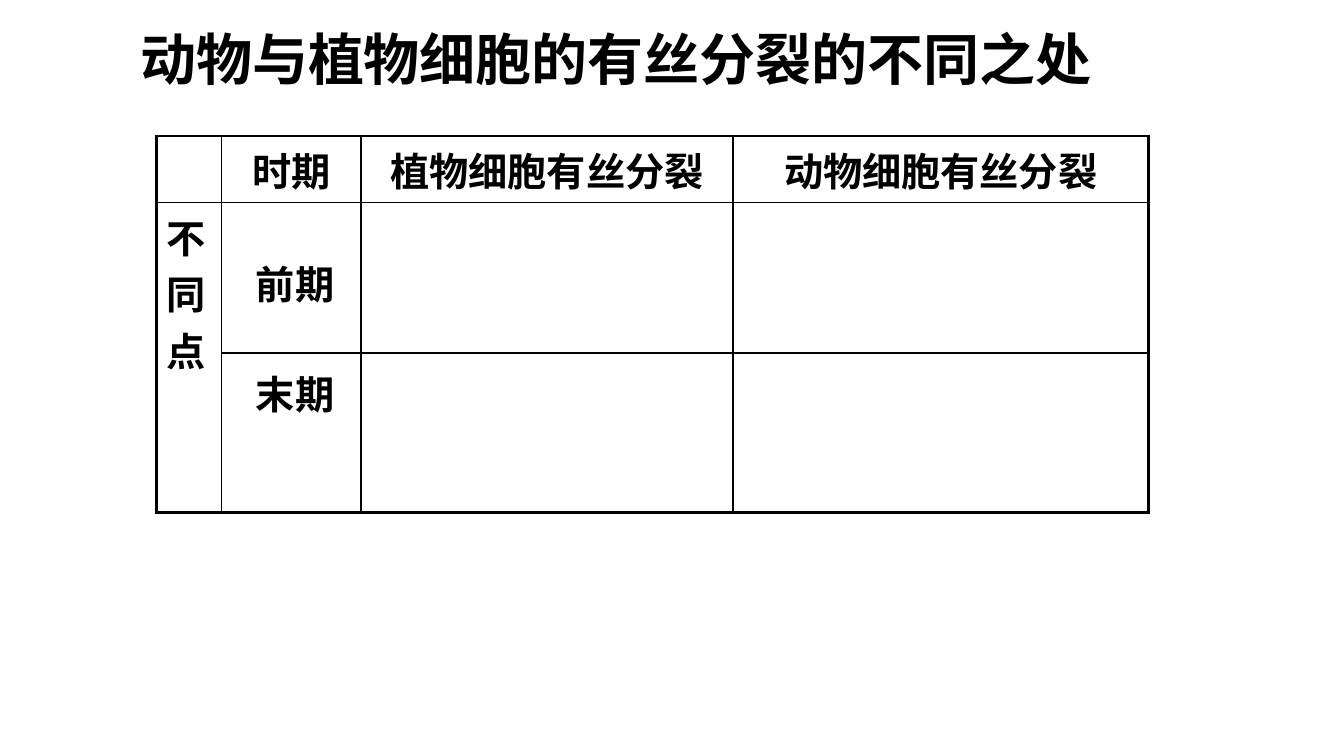
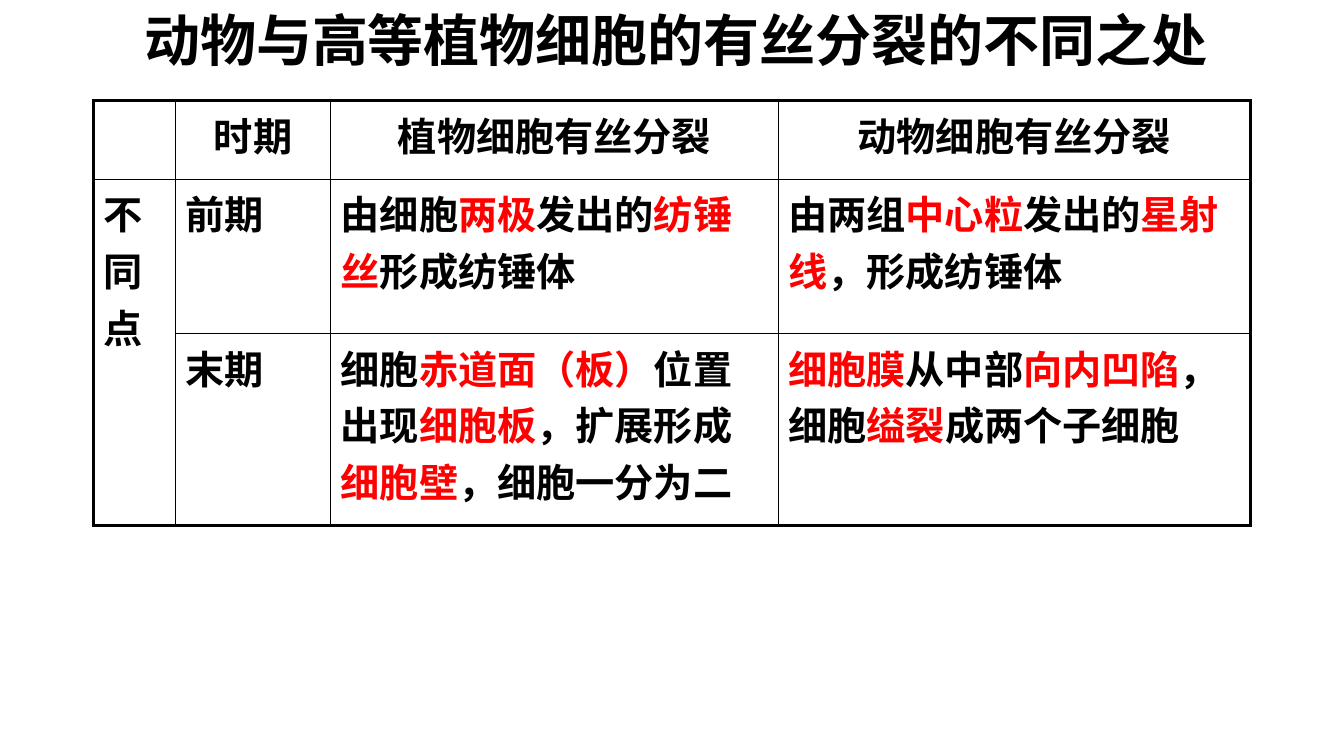
from dataclasses import dataclass, field

from lxml.etree import SubElement
from pptx import Presentation
from pptx.dml.color import RGBColor
from pptx.enum.text import MSO_ANCHOR, MSO_AUTO_SIZE, PP_ALIGN
from pptx.oxml import parse_xml
from pptx.oxml.ns import nsdecls, qn
from pptx.util import Emu, Pt

# Shared look
SCALE = 9144  # EMU per px, 100 px to the inch
HUES = {"ink": "000000", "key": "FF0000", "fill": "FFFFFF"}
HEAVY, THIN = 2.25, 1
CJK = "Noto Sans CJK SC"
HEAD = {"size": Pt(40), "name": CJK, "bold": True}
BODY = {"size": Pt(28), "name": "Arial", "bold": True}
FRAME = {"vertical_anchor": MSO_ANCHOR.TOP, "word_wrap": True,
         "auto_size": MSO_AUTO_SIZE.NONE}
LABEL = {"word_wrap": False, "auto_size": MSO_AUTO_SIZE.SHAPE_TO_FIT_TEXT}
TOP_ROW = ["", "时期", "植物细胞有丝分裂", "动物细胞有丝分裂"]
SIDE = "不同点"


@dataclass
class Label:
    text: str
    box: tuple[int, int, int, int]


@dataclass
class Page:
    title: str
    spot: tuple[int, int]
    grid: tuple[int, int]
    cols: list[int]
    rows: list[int]
    cells: list[list[str]]  # text between asterisks is key text
    labels: list[Label] = field(default_factory=list)


PAGES = [
    Page("动物与植物细胞的有丝分裂的不同之处", (129, 19), (155, 135),
         [65, 138, 369, 412], [61, 149, 158],
         [["", "", ""], ["", "", ""]],
         [Label("前期", (244, 253, 98, 57)),
          Label("末期", (244, 362, 98, 57))]),
    Page("动物与高等植物细胞的有丝分裂的不同之处", (133, 0), (93, 100),
         [81, 154, 444, 468], [78, 153, 190],
         [["前期",
           "由细胞*两极*发出的*纺锤丝*形成纺锤体",
           "由两组*中心粒*发出的*星射线*，形成纺锤体"],
          ["末期",
           "细胞*赤道面（板）*位置出现*细胞板*，扩展形成*细胞壁*，细胞一分为二",
           "*细胞膜*从中部*向内凹陷*，细胞*缢裂*成两个子细胞"]]),
]


def px(*nums: int) -> list[Emu]:
    return [Emu(num * SCALE) for num in nums]


def apply(obj, props: dict) -> None:
    for key, val in props.items():
        setattr(obj, key, val)


def write(para, text: str, look: dict) -> None:
    """Add runs, with every second part in the key colour."""
    for num, part in enumerate(text.split("*")):
        if not part:
            continue
        run = para.add_run()
        run.text = part
        apply(run.font, look)
        run.font.color.rgb = RGBColor.from_string(HUES["key" if num % 2 else "ink"])
        east = SubElement(run.font._element, qn("a:ea"))
        east.set("typeface", CJK)


def space(para) -> None:
    """Set the space before to a fifth of a line."""
    para._p.get_or_add_pPr().insert(0, parse_xml(
        f'<a:spcBef {nsdecls("a")}><a:spcPct val="20000"/></a:spcBef>'))


def edge(side: str, width: float):
    return parse_xml(
        f'<a:ln{side} {nsdecls("a")} w="{Pt(width)}"><a:solidFill>'
        f'<a:srgbClr val="{HUES["ink"]}"/></a:solidFill></a:ln{side}>')


def style(cell, outer: dict[str, bool]) -> None:
    """Give a cell its half-clear fill and its four borders."""
    cell.fill.solid()
    cell.fill.fore_color.rgb = RGBColor.from_string(HUES["fill"])
    props = cell._tc.get_or_add_tcPr()
    tint = props.find(".//" + qn("a:srgbClr"))
    SubElement(tint, qn("a:alpha")).set("val", "50000")
    for num, (side, rim) in enumerate(outer.items()):
        props.insert(num, edge(side, HEAVY if rim else THIN))


def draw_title(slide, page: Page) -> None:
    title = slide.shapes.title
    size = px(*page.spot, 1142, 77)
    apply(title, dict(zip(("left", "top", "width", "height"), size)))
    apply(title.text_frame, FRAME)
    para = title.text_frame.paragraphs[0]
    para.alignment = PP_ALIGN.LEFT
    write(para, page.title, HEAD)


def draw_grid(slide, page: Page) -> None:
    high, wide = len(page.rows), len(page.cols)
    size = px(*page.grid, sum(page.cols), sum(page.rows))
    table = slide.shapes.add_table(high, wide, *size).table
    apply(table, {"first_row": False, "horz_banding": False})
    for col, width in zip(table.columns, px(*page.cols)):
        col.width = width
    for row, height in zip(table.rows, px(*page.rows)):
        row.height = height
    table.cell(1, 0).merge(table.cell(high - 1, 0))

    texts = [TOP_ROW] + [[SIDE if num == 0 else "", *line]
                         for num, line in enumerate(page.cells)]
    for r, line in enumerate(texts):
        for c, text in enumerate(line):
            cell = table.cell(r, c)
            last = r + (cell.span_height if cell.is_merge_origin else 1)
            style(cell, {"L": c == 0, "R": c == wide - 1,
                         "T": r == 0, "B": last == high})
            if text:
                para = cell.text_frame.paragraphs[0]
                para.alignment = PP_ALIGN.LEFT if r else PP_ALIGN.CENTER
                space(para)
                write(para, text, BODY)


def draw_label(slide, label: Label) -> None:
    frame = slide.shapes.add_textbox(*px(*label.box)).text_frame
    apply(frame, LABEL)
    write(frame.paragraphs[0], label.text, BODY)


def main() -> None:
    deck = Presentation()
    deck.slide_width, deck.slide_height = px(1333, 750)
    for page in PAGES:
        slide = deck.slides.add_slide(deck.slide_layouts[5])
        draw_title(slide, page)
        draw_grid(slide, page)
        for label in page.labels:
            draw_label(slide, label)
    deck.save("out.pptx")


if __name__ == "__main__":
    main()
